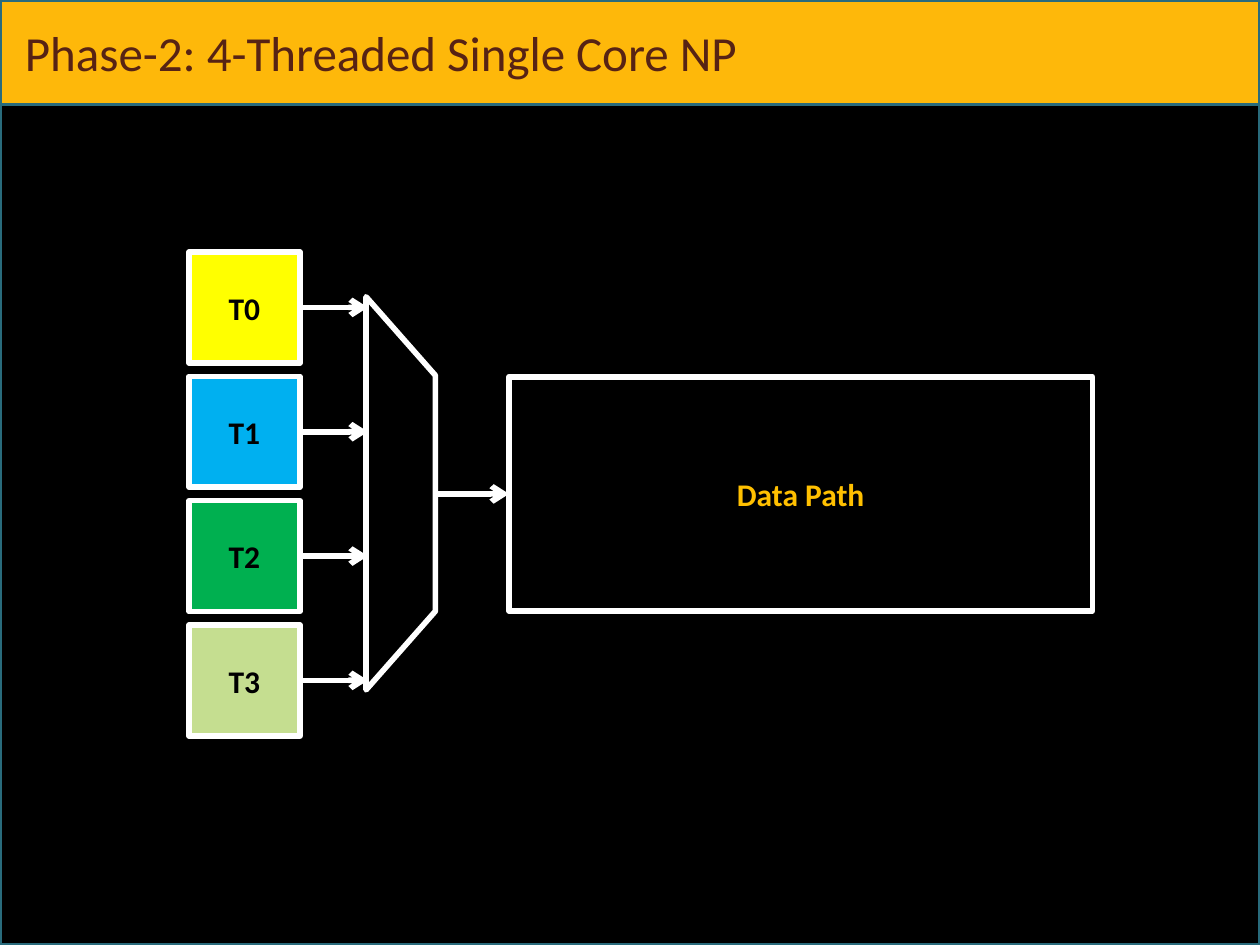
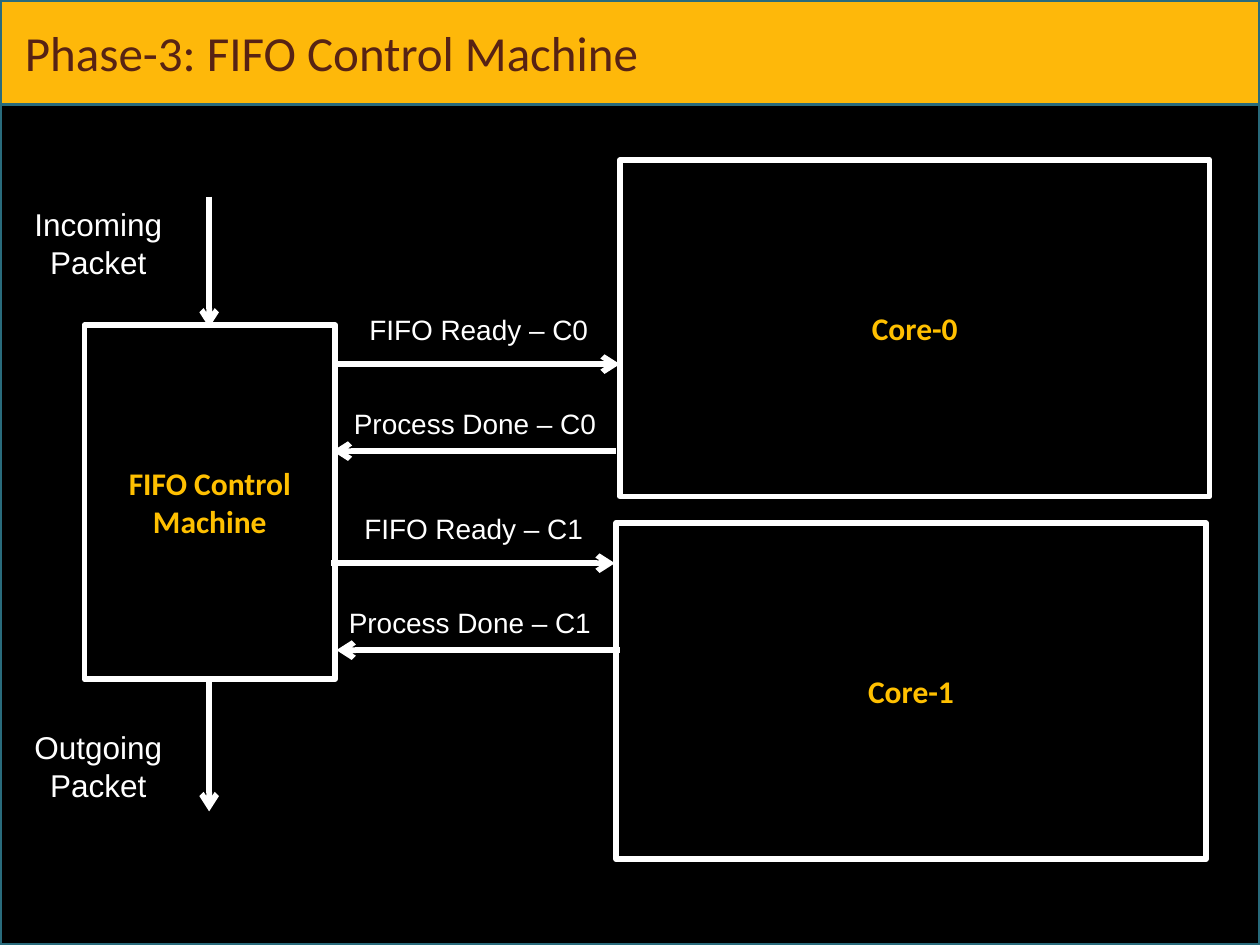
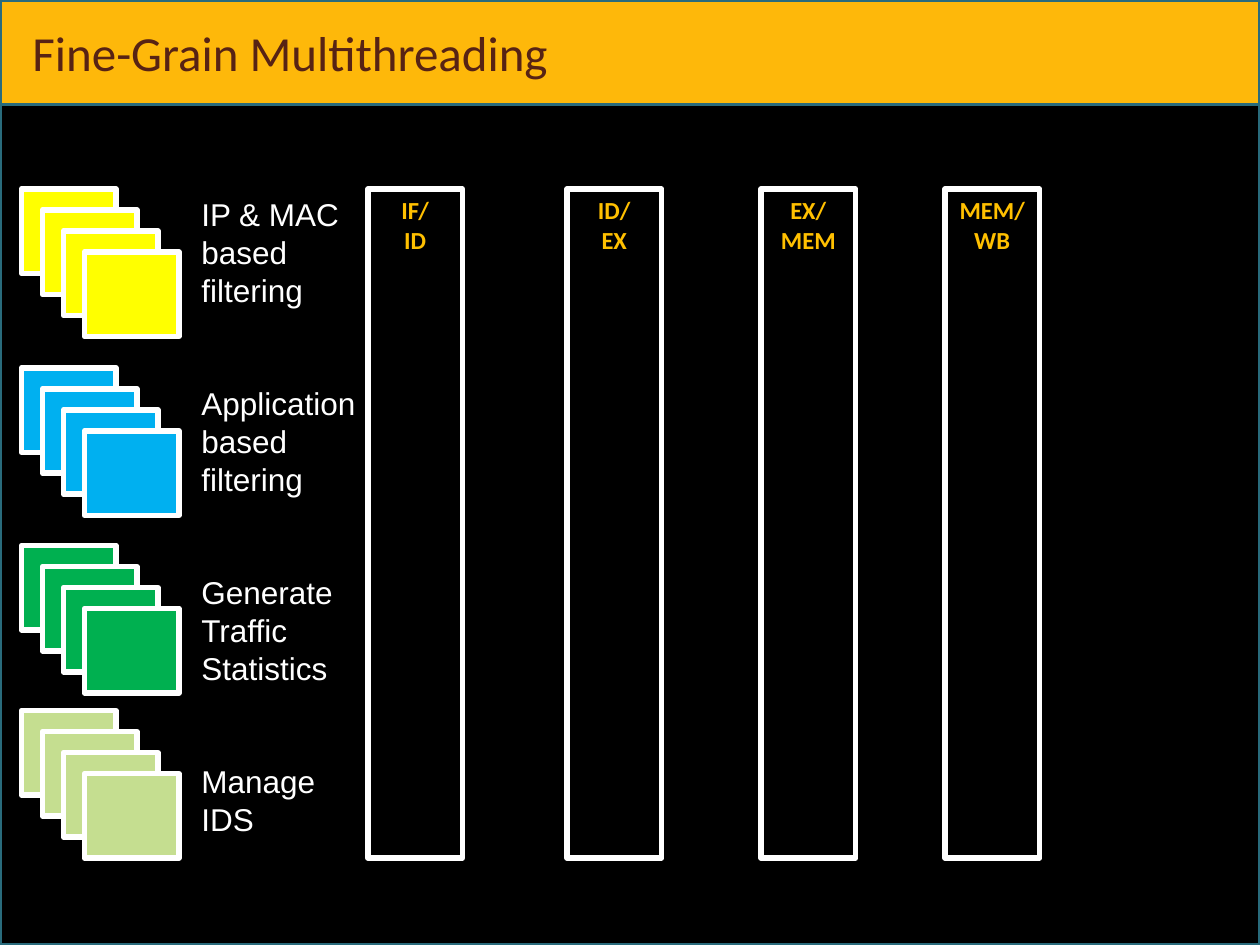
from lxml.etree import SubElement
from pptx import Presentation
from pptx.dml.color import RGBColor
from pptx.enum.shapes import MSO_CONNECTOR, MSO_SHAPE
from pptx.enum.text import MSO_ANCHOR, PP_ALIGN
from pptx.oxml.ns import qn
from pptx.util import Inches, Pt

BLACK = RGBColor(0x00, 0x00, 0x00)
WHITE = RGBColor(0xFF, 0xFF, 0xFF)
BAND = RGBColor(0xFE, 0xB8, 0x0A)
FRAME = RGBColor(0x29, 0x6B, 0x7C)
TITLE = RGBColor(0x57, 0x23, 0x14)
GOLD = RGBColor(0xFF, 0xC0, 0x00)
THREAD_COLORS = [
    RGBColor(0xFF, 0xFF, 0x00),
    RGBColor(0x00, 0xB0, 0xF0),
    RGBColor(0x00, 0xB0, 0x50),
    RGBColor(0xC5, 0xDE, 0x90),
]


class Deck:
    """Holds the shared style and the current slide."""

    heading_font = "Calibri"
    label_font = "Arial"
    stroke = 3.2

    def __init__(self):
        self.presentation = Presentation()
        self.presentation.slide_width = Inches(10)
        self.presentation.slide_height = Inches(7.5)
        self.slide = None

    def new_slide(self, title, title_left=0.1):
        layout = self.presentation.slide_layouts[6]
        self.slide = self.presentation.slides.add_slide(layout)
        for height, color in ((7.5, BLACK), (0.83, BAND)):
            self.shape(MSO_SHAPE.RECTANGLE, 0, 0, 10, height, color, FRAME, 2)
        self.text(title, title_left, 0, 9, 0.83, 28, self.heading_font, TITLE,
                  anchor=MSO_ANCHOR.MIDDLE)

    def shape(self, kind, left, top, width, height, fill=None, line=WHITE,
              line_width=stroke):
        shape = self.slide.shapes.add_shape(
            kind, Inches(left), Inches(top), Inches(width), Inches(height))
        shape.shadow.inherit = False
        if fill is None:
            shape.fill.background()
        else:
            shape.fill.solid()
            shape.fill.fore_color.rgb = fill
        shape.line.color.rgb = line
        shape.line.width = Pt(line_width)
        return shape

    def set_text(self, shape, text, size, font, color, bold, align, anchor):
        frame = shape.text_frame
        frame.word_wrap = True
        frame.vertical_anchor = anchor
        frame.text = text
        for paragraph in frame.paragraphs:
            paragraph.alignment = align
            paragraph.font.size = Pt(size)
            paragraph.font.name = font
            paragraph.font.bold = bold
            paragraph.font.color.rgb = color

    def box(self, left, top, width, height, text="", fill=None, color=GOLD,
            size=18, anchor=MSO_ANCHOR.MIDDLE):
        shape = self.shape(MSO_SHAPE.FLOWCHART_PROCESS, left, top, width,
                           height, fill)
        if text:
            self.set_text(shape, text, size, self.heading_font, color, True,
                          PP_ALIGN.CENTER, anchor)

    def text(self, text, left, top, width, height, size=18, font=label_font,
             color=WHITE, align=PP_ALIGN.LEFT, anchor=MSO_ANCHOR.TOP):
        shape = self.slide.shapes.add_textbox(
            Inches(left), Inches(top), Inches(width), Inches(height))
        self.set_text(shape, text, size, font, color, False, align, anchor)

    def arrow(self, x1, y1, x2, y2):
        connector = self.slide.shapes.add_connector(
            MSO_CONNECTOR.STRAIGHT, Inches(x1), Inches(y1), Inches(x2), Inches(y2))
        connector.line.color.rgb = WHITE
        connector.line.width = Pt(self.stroke)
        properties = connector._element.spPr
        SubElement(properties.find(qn("a:ln")), qn("a:tailEnd"), type="arrow")
        SubElement(properties, qn("a:effectLst"))


def threaded_core(deck):
    deck.new_slide("Phase-2: 4-Threaded Single Core NP")
    deck.box(4.04, 2.99, 4.63, 1.86, "Data Path")

    # Threads feeding the multiplexer
    for index, color in enumerate(THREAD_COLORS):
        top = 2 + index * 2.96 / 3
        deck.box(1.5, top, 0.88, 0.88, f"T{index}", color, BLACK)
        deck.arrow(2.38, top + 0.44, 2.92, top + 0.44)
    multiplexer = deck.shape(MSO_SHAPE.FLOWCHART_MANUAL_OPERATION,
                             1.62, 3.64, 3.12, 0.55)
    multiplexer.rotation = 270
    deck.arrow(3.46, 3.92, 4.04, 3.92)


def fifo_control(deck):
    deck.new_slide("Phase-3: FIFO Control Machine")
    deck.box(0.67, 2.58, 1.99, 2.81, "FIFO Control Machine")

    # Packets in and out
    for name, label_top, arrow_top in (("Incoming", 1.58, 1.56),
                                       ("Outgoing", 5.73, 5.4)):
        deck.text(f"{name} Packet", 0, label_top, 1.56, 0.71,
                  align=PP_ALIGN.CENTER)
        deck.arrow(1.66, arrow_top, 1.66, arrow_top + 1.04)

    # Cores with their handshake signals
    cores = ((4.92, 1.27, 2.67, 2.89, 4.89, 2.64),
             (4.89, 4.15, 2.63, 4.47, 4.92, 2.67))
    for index, (left, top, ready_left, ready_y, done_right, done_left) in enumerate(cores):
        deck.box(left, top, 4.68, 2.67, f"Core-{index}")
        deck.arrow(ready_left, ready_y, ready_left + 2.25, ready_y)
        deck.arrow(done_right, ready_y + 0.69, done_left, ready_y + 0.69)
        for signal, label_left, label_top in (
                ("FIFO Ready", ready_left, ready_y - 0.46),
                ("Process Done", ready_left - 0.03, ready_y + 0.29)):
            deck.text(f"{signal} – C{index}", label_left, label_top, 2.26, 0.37,
                      16, align=PP_ALIGN.CENTER)


def fine_grain(deck):
    deck.new_slide("Fine-Grain Multithreading", 0.16)

    # Pipeline registers
    for left, name in ((2.92, "IF/\nID"), (4.5, "ID/\nEX"),
                       (6.04, "EX/\nMEM"), (7.5, "MEM/WB")):
        deck.box(left, 1.5, 0.75, 5.31, name, size=14, anchor=MSO_ANCHOR.TOP)

    # Stacked threads, one stack per task
    tasks = (("IP & MAC based filtering", 1.5, 1.33),
             ("Application\nbased filtering", 2.92, 1.67),
             ("Generate Traffic Statistics", 4.33, 1.33),
             ("Manage IDS", 5.64, 1.33))
    for index, (color, (task, top, width)) in enumerate(zip(THREAD_COLORS, tasks)):
        for layer in range(4):
            offset = layer * 0.5 / 3
            deck.box(0.17 + offset, top + offset, 0.75, 0.67, fill=color)
        deck.text(task, 1.5, 1.5 + index * 1.5, width, 1.01)


def main():
    deck = Deck()
    threaded_core(deck)
    fifo_control(deck)
    fine_grain(deck)
    deck.presentation.save("out.pptx")


if __name__ == "__main__":
    main()
